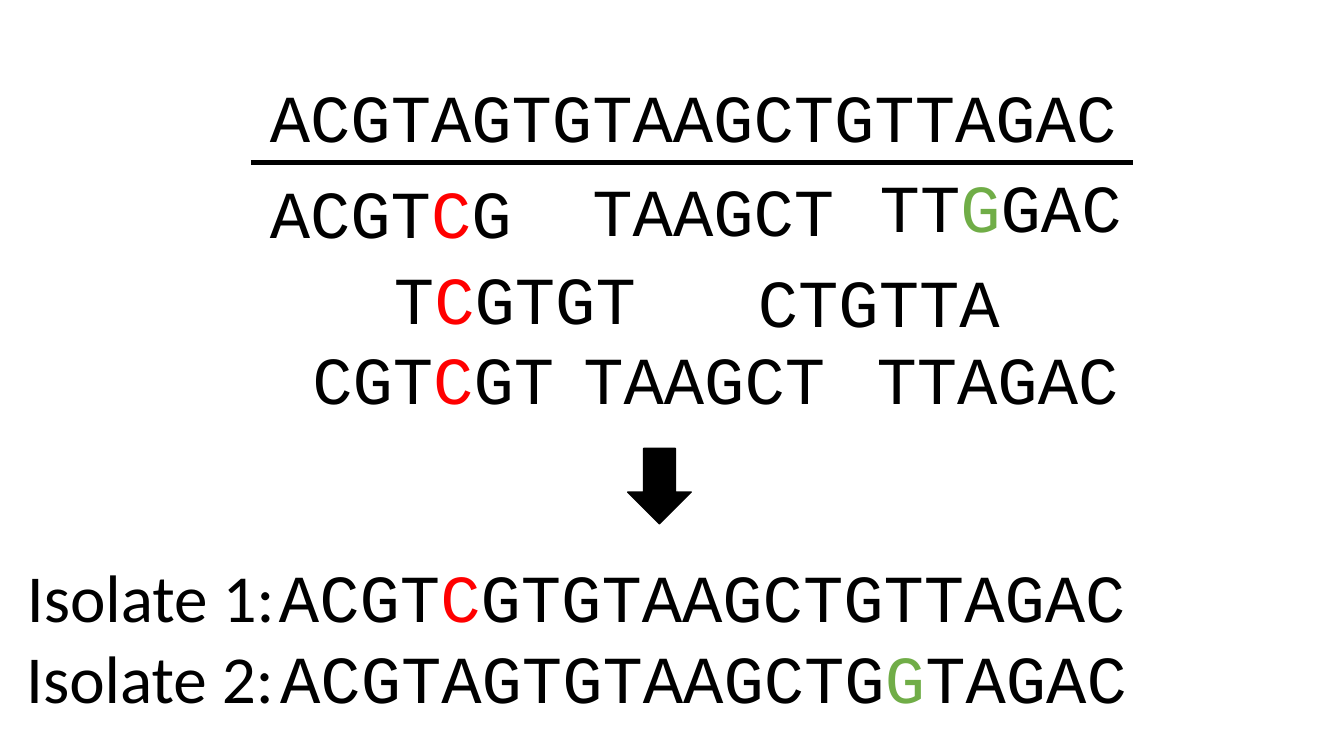
from lxml import etree
from pptx import Presentation
from pptx.dml.color import RGBColor
from pptx.enum.shapes import MSO_CONNECTOR, MSO_SHAPE
from pptx.enum.text import MSO_AUTO_SIZE
from pptx.oxml.ns import qn
from pptx.util import Cm, Pt

STRAIGHT = MSO_CONNECTOR.STRAIGHT
DOWN_ARROW = MSO_SHAPE.DOWN_ARROW
FIT_SHAPE = MSO_AUTO_SIZE.SHAPE_TO_FIT_TEXT

BLACK, RED, GREEN = "000000", "FF0000", "70AD47"
LETTER_WIDTH, SIDE_MARGINS, TEXT_HEIGHT = 1.025, 0.5, 2.31
LABEL_WIDTH = 6.83
SEQUENCE_FONT = {"name": "Courier New", "size": Pt(48)}
LABEL_FONT = {"name": "Calibri", "size": Pt(48)}

REFERENCE = (6.55, 1.78, "ACGTAGTGTAAGCTGTTAGAC", BLACK)
READS = [
    (6.55, 4.19, "ACGT|C|G", RED),
    (14.68, 4.14, "TAAGCT", BLACK),
    (21.92, 4.04, "TT|G|GAC", GREEN),
    (9.68, 6.35, "T|C|GTGT", RED),
    (18.85, 6.43, "CTGTTA", BLACK),
    (7.62, 8.38, "CGT|C|GT", RED),
    (14.45, 8.38, "TAAGCT", BLACK),
    (21.84, 8.38, "TTAGAC", BLACK),
]
ISOLATES = [
    (6.78, 13.87, "ACGT|C|GTGTAAGCTGTTAGAC", RED),
    (6.81, 15.9, "ACGTAGTGTAAGCTG|G|TAGAC", GREEN),
]
ISOLATE_LABELS = [(0.43, 13.87, "Isolate 1:"), (0.41, 15.9, "Isolate 2:")]


def color(value):
    """Turn a hex string into a colour."""
    return RGBColor.from_string(value)


def apply_format(target, values):
    """Set each attribute of the target from a dict of values."""
    for name, value in values.items():
        setattr(target, name, value)


def add_text(slide, left, top, width, runs, font_format):
    """Add one unwrapped line of text made of (text, colour) runs."""
    shape = slide.shapes.add_textbox(Cm(left), Cm(top), Cm(width), Cm(TEXT_HEIGHT))
    apply_format(shape.text_frame, {"word_wrap": False, "auto_size": FIT_SHAPE})
    paragraph = shape.text_frame.paragraphs[0]
    for text, run_color in runs:
        run = paragraph.add_run()
        run.text = text
        apply_format(run.font, font_format)
        run.font.color.rgb = color(run_color)


def add_sequence(slide, left, top, bases, variant_color):
    """Add a base sequence, colouring the variant between bars."""
    parts = bases.split("|")
    runs = [(part, variant_color if index % 2 else BLACK)
            for index, part in enumerate(parts)]
    width = SIDE_MARGINS + LETTER_WIDTH * len("".join(parts))
    add_text(slide, left, top, width, runs, SEQUENCE_FONT)


def add_rule(slide, left, right, top):
    """Add the horizontal rule below the reference sequence."""
    connector = slide.shapes.add_connector(STRAIGHT, Cm(left), Cm(top), Cm(right), Cm(top))
    connector.line.color.rgb = color(BLACK)
    connector.line.width = Pt(3.25)
    etree.SubElement(connector.element.spPr, qn("a:effectLst"))


def add_down_arrow(slide, left, top, width, height):
    """Add the solid arrow from the reads to the isolates."""
    shape = slide.shapes.add_shape(DOWN_ARROW, Cm(left), Cm(top), Cm(width), Cm(height))
    shape.shadow.inherit = False
    shape.fill.solid()
    shape.fill.fore_color.rgb = color(BLACK)
    shape.line.color.rgb = color(BLACK)
    shape.line.width = Pt(1)


def main():
    """Build the sequence alignment slide and save it."""
    presentation = Presentation()
    apply_format(presentation, {"slide_width": Cm(33.87), "slide_height": Cm(19.05)})
    slide = presentation.slides.add_slide(presentation.slide_layouts[6])
    for sequence in [REFERENCE, *READS]:
        add_sequence(slide, *sequence)
    add_rule(slide, 6.32, 28.55, 4.09)
    add_down_arrow(slide, 15.82, 11.3, 1.6, 1.9)
    for sequence in ISOLATES:
        add_sequence(slide, *sequence)
    for left, top, label in ISOLATE_LABELS:
        add_text(slide, left, top, LABEL_WIDTH, [(label, BLACK)], LABEL_FONT)
    presentation.save("out.pptx")


if __name__ == "__main__":
    main()
